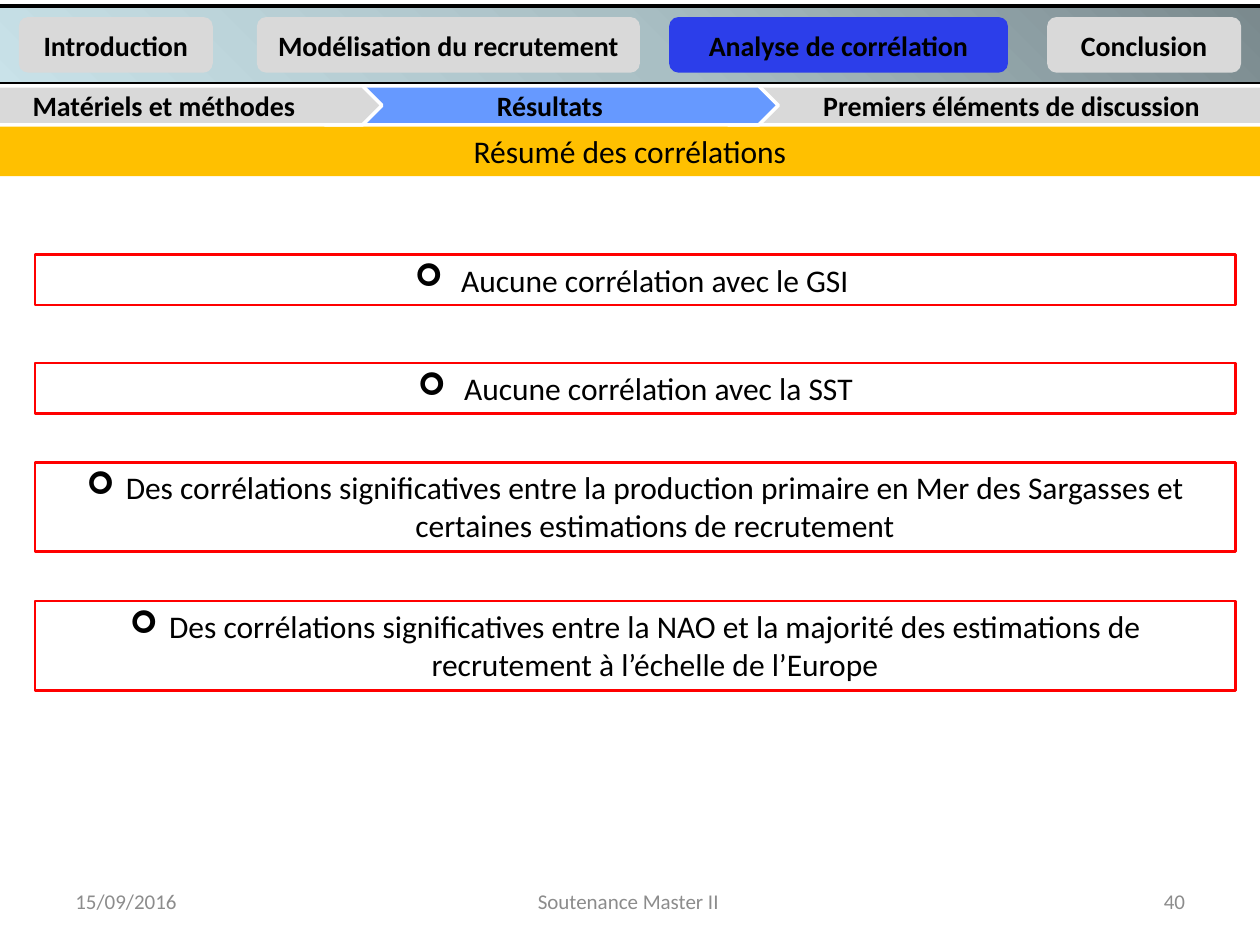
from dataclasses import dataclass
from lxml.etree import SubElement
from pptx import Presentation
from pptx.dml.color import RGBColor
from pptx.enum.shapes import MSO_SHAPE as Kind
from pptx.enum.text import MSO_ANCHOR as Anchor, PP_ALIGN as Align
from pptx.oxml import parse_xml
from pptx.oxml.ns import nsdecls, qn
from pptx.util import Cm, Pt


@dataclass(frozen=True)
class Theme:
    """Colours, font and type sizes of the deck."""
    font: str = "Calibri"
    ink: str = "000000"
    mute: str = "8C8C8C"
    idle: str = "D9D9D9"
    tab: str = "2C3EEA"
    step: str = "6699FF"
    gold: str = "FFC000"
    red: str = "FF0000"
    white: str = "FFFFFF"
    fade: tuple = ((0, "77868A"), (50, "A9BFC4"), (100, "C9E2E9"))
    body: int = 18
    nav: int = 16
    foot: int = 12


THEME = Theme()


def add_box(slide, kind, box, fill=None, line=None, width=1.5):
    """Add a flat shape in a box given in centimetres."""
    shape = slide.shapes.add_shape(kind, *map(Cm, box))
    shape.shadow.inherit = False
    if fill:
        shape.fill.solid()
        shape.fill.fore_color.rgb = RGBColor.from_string(fill)
    else:
        shape.fill.background()
    if line:
        shape.line.color.rgb = RGBColor.from_string(line)
        shape.line.width = Pt(width)
    else:
        shape.line.fill.background()
    return shape


def write(shape, text, size, color=THEME.ink, bold=False,
          align=Align.CENTER, anchor=Anchor.MIDDLE, bullet=None):
    """Write one paragraph in a shape."""
    frame = shape.text_frame
    frame.word_wrap = True
    frame.vertical_anchor = anchor
    para = frame.paragraphs[0]
    para.text = text
    para.alignment = align
    if bullet:
        props = para._p.get_or_add_pPr()
        props.set("marL", str(Cm(0.79)))
        props.set("indent", str(-Cm(0.79)))
        SubElement(props, qn("a:buFont"), typeface="Wingdings")
        SubElement(props, qn("a:buChar"), char=bullet)
    font = para.font
    font.name, font.size, font.bold = THEME.font, Pt(size), bold
    font.color.rgb = RGBColor.from_string(color)


def add_fade(shape):
    """Fill a shape with a gradient that spreads from its top right corner."""
    stops = "".join(f'<a:gs pos="{pos * 1000}"><a:srgbClr val="{color}"/></a:gs>'
                    for pos, color in THEME.fade)
    grad = parse_xml(
        f'<a:gradFill {nsdecls("a")} rotWithShape="1"><a:gsLst>{stops}</a:gsLst>'
        '<a:path path="circle"><a:fillToRect l="100000" b="100000"/></a:path>'
        '</a:gradFill>')
    props = shape._element.spPr
    props.replace(props.find(qn("a:noFill")), grad)


def add_tabs(slide, box, tabs, active):
    """Draw the chapter bar with its rounded tabs."""
    left, top, _, high = box
    add_fade(add_box(slide, Kind.RECTANGLE, box, line=THEME.ink, width=2))
    tall = 1.12
    for text, x, wide in tabs:
        fill = THEME.tab if text == active else THEME.idle
        place = (left + x, top + (high - tall) / 2, wide, tall)
        tab = add_box(slide, Kind.ROUNDED_RECTANGLE, place, fill)
        write(tab, text, THEME.nav, bold=True)


def add_steps(slide, box, steps, active):
    """Draw the overlapping section arrows, the first one in front."""
    left, top, _, high = box
    for text, x, wide in reversed(steps):
        fill = THEME.step if text == active else THEME.idle
        step = add_box(slide, Kind.PENTAGON, (left + x, top, wide, high),
                       fill, THEME.white, 2)
        write(step, text, THEME.nav, bold=True)


def add_title(slide, box, text):
    """Draw the title band."""
    band = add_box(slide, Kind.RECTANGLE, box, THEME.gold)
    write(band, text, THEME.body, anchor=Anchor.TOP)


def add_cards(slide, box, cards):
    """Draw the framed findings down the box."""
    left, top, wide, _ = box
    for text, y, high in cards:
        card = add_box(slide, Kind.RECTANGLE, (left, top + y, wide, high),
                       line=THEME.red)
        write(card, text, THEME.body, anchor=Anchor.TOP, bullet="➢")


def add_foot(slide, box, parts):
    """Place the date, the event and the page number."""
    left, top, _, high = box
    for text, x, wide, align in parts:
        place = map(Cm, (left + x, top, wide, high))
        write(slide.shapes.add_textbox(*place), text, THEME.foot,
              THEME.mute, align=align)


def main():
    """Build and save the slide."""
    deck = Presentation()
    deck.slide_width, deck.slide_height = Cm(25.4), Cm(19.05)
    slide = deck.slides.add_slide(deck.slide_layouts[6])
    add_foot(slide, (1.27, 17.65, 22.87, 1.02), [
        ("15/09/2016", 0, 5.93, Align.LEFT),
        ("Soutenance Master II ", 7.42, 8.05, Align.CENTER),
        ("40", 16.94, 5.93, Align.RIGHT)])
    add_cards(slide, (0.71, 5.13, 24.2, 8.8), [
        (" Aucune corrélation avec le GSI ", 0, 1.02),
        (" Aucune corrélation avec la SST", 2.19, 1.02),
        ("Des corrélations significatives entre la production primaire "
         "en Mer des Sargasses et certaines estimations de recrutement", 4.19, 1.8),
        ("Des corrélations significatives entre la NAO et la majorité "
         "des estimations de recrutement à l’échelle de l’Europe", 6.99, 1.8)])
    add_title(slide, (-0.3, 2.53, 26, 1.02), "Résumé des corrélations")
    add_tabs(slide, (-0.3, 0.12, 26.6, 1.57), [
        ("Introduction", 0.68, 3.91),
        ("Modélisation du recrutement", 5.48, 7.72),
        ("Analyse de corrélation", 13.79, 6.83),
        ("Conclusion", 21.41, 3.91)], "Analyse de corrélation")
    add_steps(slide, (-0.89, 1.73, 27.2, 0.79), [
        ("Matériels et méthodes", 0, 8.59),
        (" Résultats", 7.44, 9.14),
        ("Premiers éléments de discussion", 15.57, 11.63)], " Résultats")
    deck.save("out.pptx")


if __name__ == "__main__":
    main()
